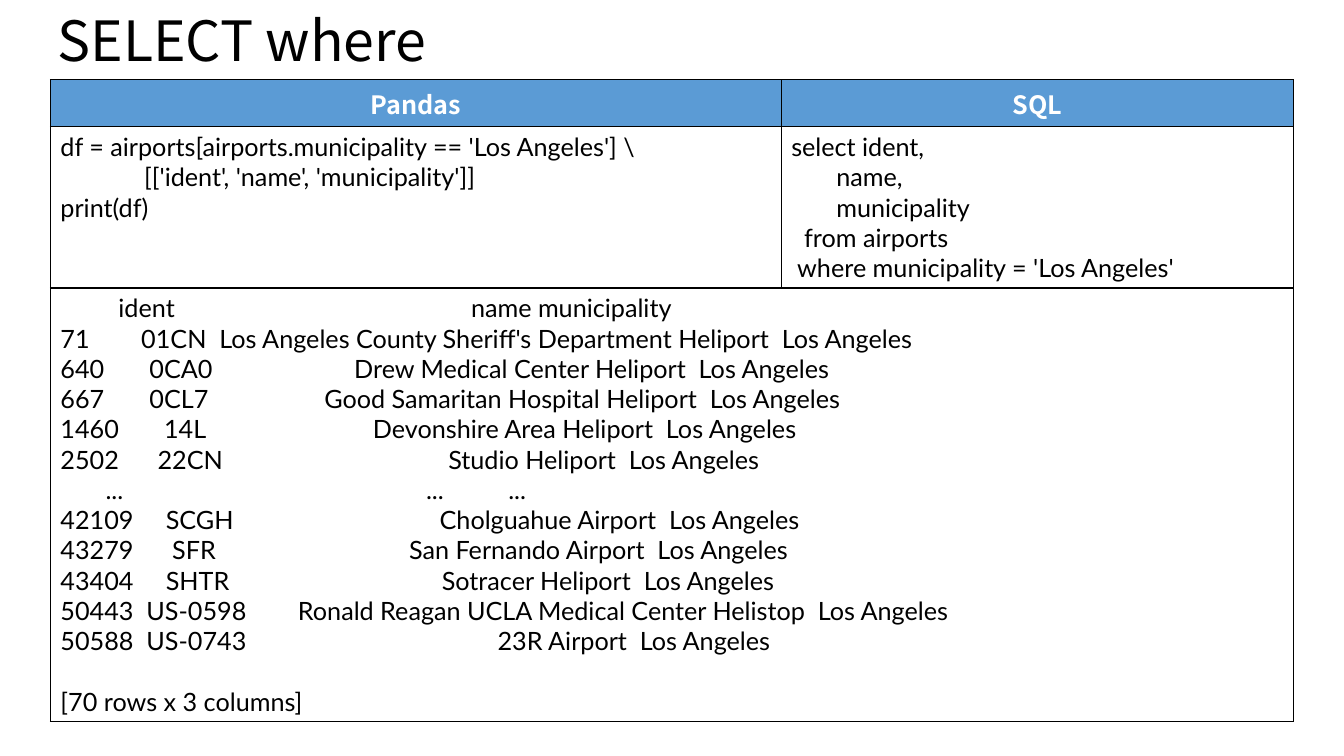
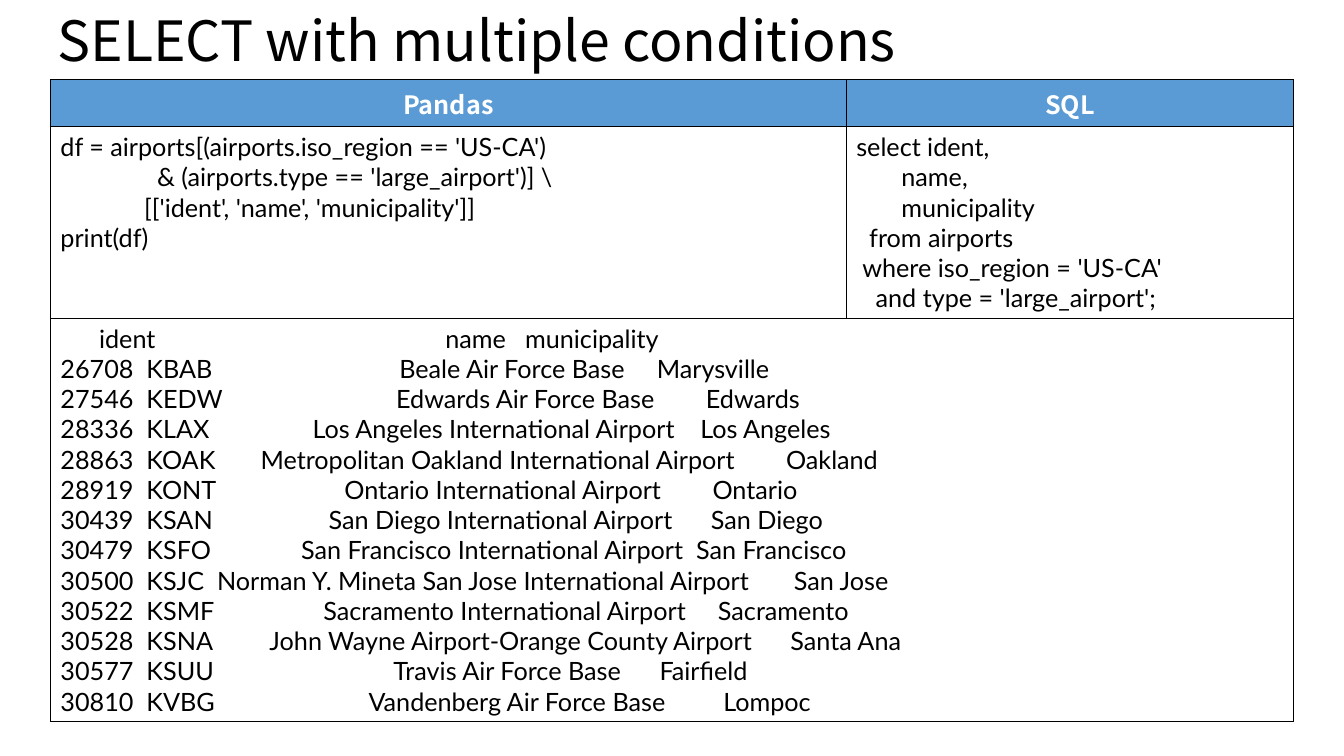
from lxml.etree import SubElement
from pptx import Presentation
from pptx.dml.color import RGBColor as RGB
from pptx.enum.text import MSO_ANCHOR as ANCHOR, PP_ALIGN as ALIGN
from pptx.oxml.ns import qn
from pptx.util import Pt

COLORS = {"header": "5B9BD5", "text": "000000", "paper": "FFFFFF", "border": "000000"}
TITLE_FONT = "Noto Sans CJK KR"
BODY_FONT = "Lato"
BODY_SIZE = 18
LINE_HEIGHT = 21.6
CELL_PADDING = 7.2
HEADER_HEIGHT = 33.5
TABLE_LEFT, TABLE_TOP, TABLE_WIDTH = 36, 57, 888
COLUMNS = ("ident", "name", "municipality")
INDEX_WIDTH = 5

WHERE = {
    "title": "SELECT where",
    "pandas_width": 522,
    "pandas": [
        "df = airports[airports.municipality == 'Los Angeles'] \\",
        "             [['ident', 'name', 'municipality']]",
        "print(df)",
    ],
    "sql": [
        "select ident,",
        "       name,",
        "       municipality",
        "  from airports",
        " where municipality = 'Los Angeles'",
    ],
    "records": [
        ("71", "01CN", "Los Angeles County Sheriff's Department Heliport", "Los Angeles"),
        ("640", "0CA0", "Drew Medical Center Heliport", "Los Angeles"),
        ("667", "0CL7", "Good Samaritan Hospital Heliport", "Los Angeles"),
        ("1460", "14L", "Devonshire Area Heliport", "Los Angeles"),
        ("2502", "22CN", "Studio Heliport", "Los Angeles"),
        ("", "...", "...", "..."),
        ("42109", "SCGH", "Cholguahue Airport", "Los Angeles"),
        ("43279", "SFR", "San Fernando Airport", "Los Angeles"),
        ("43404", "SHTR", "Sotracer Heliport", "Los Angeles"),
        ("50443", "US-0598", "Ronald Reagan UCLA Medical Center Helistop", "Los Angeles"),
        ("50588", "US-0743", "23R Airport", "Los Angeles"),
    ],
    "summary": "[70 rows x 3 columns]",
}

CONDITIONS = {
    "title": "SELECT with multiple conditions",
    "pandas_width": 568.5,
    "pandas": [
        "df = airports[(airports.iso_region == 'US-CA')",
        "               & (airports.type == 'large_airport')] \\",
        "             [['ident', 'name', 'municipality']]",
        "print(df)",
    ],
    "sql": [
        "select ident,",
        "       name,",
        "       municipality",
        "  from airports",
        " where iso_region = 'US-CA'",
        "   and type = 'large_airport';",
    ],
    "records": [
        ("26708", "KBAB", "Beale Air Force Base", "Marysville"),
        ("27546", "KEDW", "Edwards Air Force Base", "Edwards"),
        ("28336", "KLAX", "Los Angeles International Airport", "Los Angeles"),
        ("28863", "KOAK", "Metropolitan Oakland International Airport", "Oakland"),
        ("28919", "KONT", "Ontario International Airport", "Ontario"),
        ("30439", "KSAN", "San Diego International Airport", "San Diego"),
        ("30479", "KSFO", "San Francisco International Airport", "San Francisco"),
        ("30500", "KSJC", "Norman Y. Mineta San Jose International Airport", "San Jose"),
        ("30522", "KSMF", "Sacramento International Airport", "Sacramento"),
        ("30528", "KSNA", "John Wayne Airport-Orange County Airport", "Santa Ana"),
        ("30577", "KSUU", "Travis Air Force Base", "Fairfield"),
        ("30810", "KVBG", "Vandenberg Air Force Base", "Lompoc"),
    ],
    "summary": None,
}


def color(name):
    return RGB.from_string(COLORS[name])


def console_lines(records):
    widths = [
        max(len(head), 1 + max(len(value) for value in values))
        for head, values in zip(COLUMNS, list(zip(*records))[1:])
    ]

    def line(lead, values):
        return " ".join([lead] + [v.rjust(w) for v, w in zip(values, widths)])

    lines = [line(" " * INDEX_WIDTH, COLUMNS)]
    for index, *values in records:
        lines.append(line(index.ljust(INDEX_WIDTH) if index else " ", values))
    return lines


def style(p, font, size, fill, bold=False):
    for r in p.runs:
        r.font.name = font
        r.font.size = Pt(size)
        r.font.bold = bold
        r.font.color.rgb = color(fill)


def add_title(slide, text):
    sp = slide.shapes.add_textbox(Pt(34), Pt(8.6), Pt(828), Pt(44.6))
    tf = sp.text_frame
    tf.word_wrap = True
    tf.vertical_anchor = ANCHOR.MIDDLE
    tf.text = text
    p = tf.paragraphs[0]
    p.line_spacing = 0.9
    style(p, TITLE_FONT, 39.6, "text")


def set_borders(cell):
    tcPr = cell._tc.get_or_add_tcPr()
    for side in ("lnL", "lnR", "lnT", "lnB"):
        ln = SubElement(tcPr, qn(f"a:{side}"), w=str(Pt(1)))
        fill = SubElement(ln, qn("a:solidFill"))
        SubElement(fill, qn("a:srgbClr"), val=COLORS["border"])


def fill_cell(cell, lines, header=False):
    cell.fill.solid()
    cell.fill.fore_color.rgb = color("header" if header else "paper")
    cell.text_frame.text = "\n".join(lines)
    for p in cell.text_frame.paragraphs:
        if header:
            p.alignment = ALIGN.CENTER
            style(p, TITLE_FONT, BODY_SIZE, "paper", bold=True)
        else:
            style(p, BODY_FONT, BODY_SIZE, "text")


def text_height(line_count):
    return line_count * LINE_HEIGHT + CELL_PADDING


def add_comparison(slide, topic):
    output = console_lines(topic["records"])
    summary = topic["summary"]
    output_count = len(output) + (2 if summary else 0)
    if summary:
        output.append(summary)
    code_count = max(len(topic["pandas"]), len(topic["sql"]))
    heights = (HEADER_HEIGHT, text_height(code_count), text_height(output_count))
    widths = (topic["pandas_width"], TABLE_WIDTH - topic["pandas_width"])

    table = slide.shapes.add_table(
        len(heights), len(widths), Pt(TABLE_LEFT), Pt(TABLE_TOP),
        Pt(TABLE_WIDTH), Pt(sum(heights)),
    ).table
    table.horz_banding = False
    for column, width in zip(table.columns, widths):
        column.width = Pt(width)
    for row, height in zip(table.rows, heights):
        row.height = Pt(height)
    for cell in table.iter_cells():
        set_borders(cell)

    output_cell = table.cell(2, 0)
    output_cell.merge(table.cell(2, 1))
    for i, (name, code) in enumerate((("Pandas", topic["pandas"]), ("SQL", topic["sql"]))):
        fill_cell(table.cell(0, i), [name], header=True)
        fill_cell(table.cell(1, i), code)
    fill_cell(output_cell, output)
    if summary:
        output_cell.text_frame.paragraphs[-1].space_before = Pt(LINE_HEIGHT)


def main():
    prs = Presentation()
    prs.slide_width, prs.slide_height = Pt(960), Pt(540)
    for topic in (WHERE, CONDITIONS):
        slide = prs.slides.add_slide(prs.slide_layouts[6])
        add_comparison(slide, topic)
        add_title(slide, topic["title"])
    prs.save("out.pptx")


if __name__ == "__main__":
    main()
